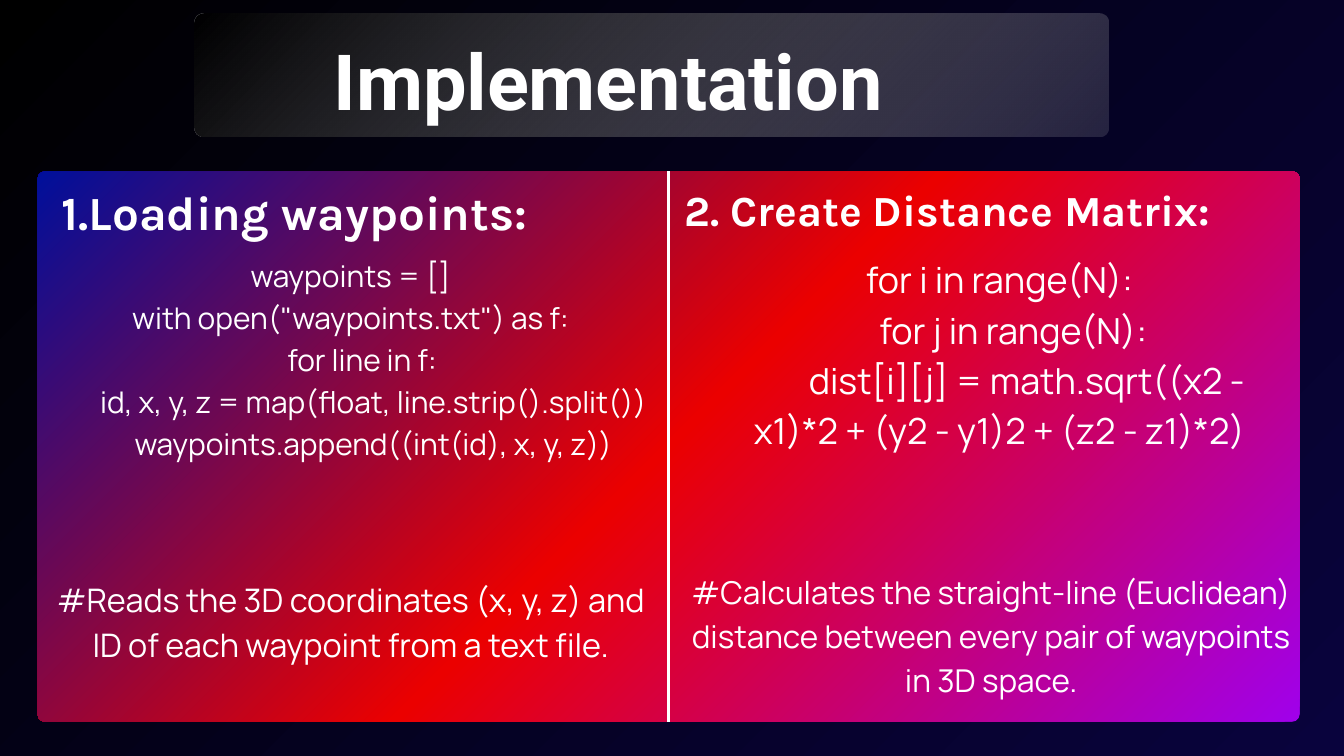
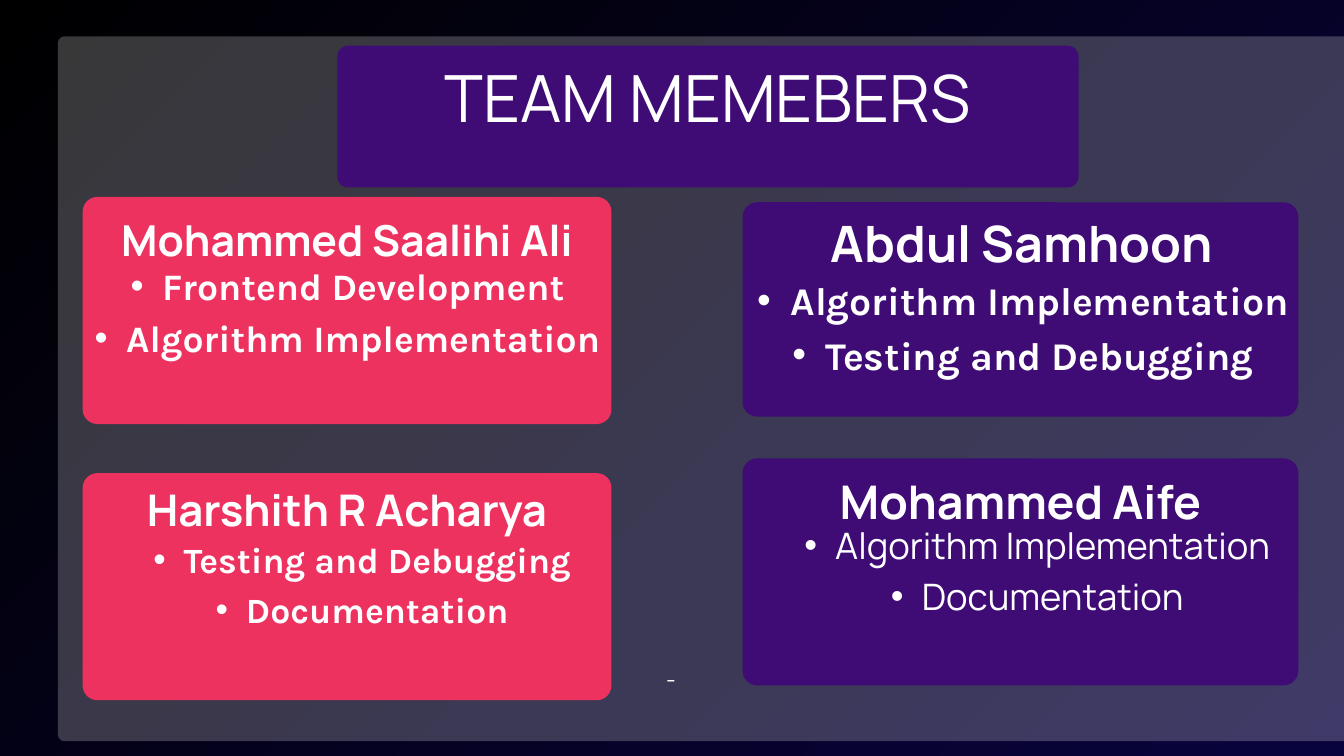
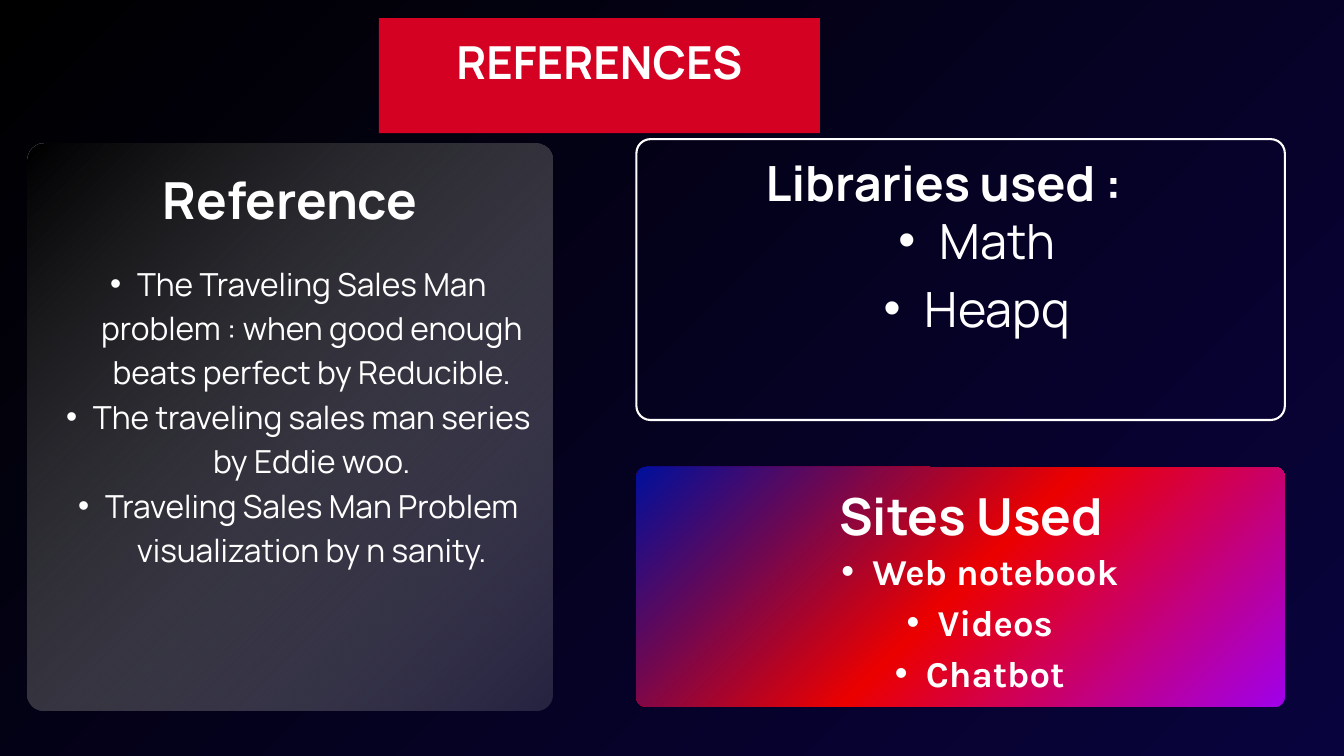
from dataclasses import dataclass

from lxml import etree
from pptx import Presentation
from pptx.dml.color import RGBColor
from pptx.enum.shapes import MSO_CONNECTOR, MSO_SHAPE
from pptx.enum.text import MSO_ANCHOR, MSO_AUTO_SIZE, PP_ALIGN
from pptx.oxml import parse_xml
from pptx.oxml.ns import nsdecls, qn
from pptx.util import Inches, Pt


@dataclass(frozen=True)
class Paint:
    """Stops are (position %, colour, opacity %); one stop is a solid fill."""
    stops: tuple
    angle: int | None = None  # None spreads the gradient from the top left


@dataclass(frozen=True)
class Type:
    font: str
    size: float
    bold: bool = False

    @property
    def leading(self):
        return round(self.size * 1.4, 1)

    @property
    def bullet_indent(self):
        return round(self.size * 0.0236, 2)

    @property
    def code_indent(self):
        return self.size * 0.0106


def solid(colour, opacity=100):
    return Paint(((0, colour, opacity),))


def heading_type(size):
    return Type("Manrope", size, True)


def strong_type(size):
    return Type("Karla", size, True)


def plain_type(size):
    return Type("Manrope", size)


@dataclass(frozen=True)
class Theme:
    # Colours
    white: str = "FFFFFF"
    night: Paint = Paint(((0, "000000", 100), (100, "09033D", 100)))
    smoke: Paint = Paint(((0, "000000", 78), (100, "DDDDDD", 15)), 45)
    vivid: Paint = Paint(((0, "000F9B", 100), (50, "EB0000", 100),
                          (100, "A000EB", 100)))
    glass: Paint = solid("FFFFFF", 22)
    purple: Paint = solid("3F0B75")
    pink: Paint = solid("EE3260")
    red: Paint = solid("D50123")
    # Titles
    implementation_title: Type = Type("Roboto", 83, True)
    team_title: Type = plain_type(69.7)
    references_title: Type = heading_type(48.7)
    # Implementation steps
    loading_heading: Type = strong_type(51)
    loading_code: Type = plain_type(32)
    loading_note: Type = plain_type(34.7)
    matrix_heading: Type = strong_type(46)
    matrix_code: Type = plain_type(38.5)
    matrix_note: Type = plain_type(33.7)
    # Team cards, in reading order
    member_names: tuple = tuple(map(heading_type, (45.7, 53.7, 46.7, 49.7)))
    member_tasks: tuple = (strong_type(40), strong_type(42),
                           strong_type(38), plain_type(39))
    dash: Type = plain_type(24.7)
    # Reference cards
    reference_heading: Type = heading_type(54.7)
    reference_list: Type = plain_type(34)
    library_heading: Type = heading_type(52)
    library_list: Type = plain_type(52)
    site_list: Type = strong_type(39)


THEME = Theme()


@dataclass(frozen=True)
class Box:
    left: float
    top: float
    width: float
    height: float

    def inner(self, left, top, width, height):
        return Box(self.left + left, self.top + top, width, height)

    def lengths(self):
        return [Inches(value) for value in
                (self.left, self.top, self.width, self.height)]


# ---- Fills and shapes ----

def apply_paint(fill, element, paint):
    """Fill with the paint; element is the one that holds the fill."""
    fill.solid()
    colours = [
        f'<a:srgbClr val="{colour}"><a:alpha val="{opacity * 1000}"/></a:srgbClr>'
        for _, colour, opacity in paint.stops]
    if len(colours) == 1:
        xml = f'<a:solidFill {nsdecls("a")}>{colours[0]}</a:solidFill>'
    else:
        stops = "".join(f'<a:gs pos="{stop[0] * 1000}">{colour}</a:gs>'
                        for stop, colour in zip(paint.stops, colours))
        if paint.angle is None:
            direction = ('<a:path path="circle"><a:fillToRect l="0" t="0" '
                         'r="100000" b="100000"/></a:path>')
        else:
            direction = f'<a:lin ang="{paint.angle * 60000}" scaled="0"/>'
        xml = (f'<a:gradFill {nsdecls("a")} rotWithShape="1">'
               f'<a:gsLst>{stops}</a:gsLst>{direction}</a:gradFill>')
    old = next(element.iter(qn("a:solidFill")))
    old.getparent().replace(old, parse_xml(xml))


def add_panel(slide, box, paint=None, radius=0.0, outline=None):
    kind = MSO_SHAPE.ROUNDED_RECTANGLE if radius else MSO_SHAPE.RECTANGLE
    panel = slide.shapes.add_shape(kind, *box.lengths())
    panel.shadow.inherit = False
    if radius:
        panel.adjustments[0] = radius / min(box.width, box.height)
    if paint:
        apply_paint(panel.fill, panel.element, paint)
    else:
        panel.fill.background()
    if outline:
        panel.line.color.rgb = RGBColor.from_string(THEME.white)
        panel.line.width = Pt(outline)
    else:
        panel.line.fill.background()
    return panel


def add_divider(slide, panel):
    divider = slide.shapes.add_connector(MSO_CONNECTOR.STRAIGHT, 0, 0, 0, 0)
    divider.begin_connect(panel, 0)
    divider.end_connect(panel, 2)
    divider.line.color.rgb = RGBColor.from_string(THEME.white)
    divider.line.width = Pt(3)
    etree.SubElement(divider.element.spPr, qn("a:effectLst"))


# ---- Text ----

def set_indent(paragraph, margin=0.0, first=0.0, bullet=None):
    properties = paragraph._p.get_or_add_pPr()
    properties.set("marL", str(Inches(margin)))
    properties.set("indent", str(Inches(first)))
    if bullet:
        etree.SubElement(properties, qn("a:buFont")).set("typeface", "Arial")
        etree.SubElement(properties, qn("a:buChar")).set("char", bullet)
    else:
        etree.SubElement(properties, qn("a:buNone"))


def add_text(slide, holders, box, lines, style, bulleted=False, depths=None,
             anchor=MSO_ANCHOR.TOP, inset=0.0):
    """Write lines in the next free placeholder, or else in a text box."""
    shape = next(holders, None)
    if shape is None:
        shape = slide.shapes.add_textbox(*box.lengths())
    else:
        shape.left, shape.top, shape.width, shape.height = box.lengths()
        shape.element.getparent().append(shape.element)  # bring to front
    frame = shape.text_frame
    frame.text = "\n".join(lines)
    frame.word_wrap = True
    frame.auto_size = MSO_AUTO_SIZE.NONE
    frame.vertical_anchor = anchor
    frame.margin_left = frame.margin_right = Inches(inset)
    frame.margin_top = frame.margin_bottom = Inches(inset)
    for paragraph, depth in zip(frame.paragraphs, depths or [0] * len(lines)):
        paragraph.alignment = PP_ALIGN.CENTER
        paragraph.line_spacing = Pt(style.leading)
        paragraph.space_before = paragraph.space_after = Pt(0)
        if bulleted:
            margin = style.bullet_indent
            set_indent(paragraph, margin, -margin / 2, "•")
        else:
            set_indent(paragraph, first=depth * style.code_indent)
        for run in paragraph.runs:
            run.font.name = style.font
            run.font.size = Pt(style.size)
            run.font.bold = style.bold
            run.font.color.rgb = RGBColor.from_string(THEME.white)


# ---- Regions ----

def start_slide(presentation):
    """Add a slide with a title, two headings and two lists to fill."""
    slide = presentation.slides.add_slide(
        presentation.slide_layouts.get_by_name("Comparison"))
    holders = list(slide.placeholders)
    for holder in holders[5:]:  # date, footer and number
        holder.element.getparent().remove(holder.element)
    return slide, iter(holders[:5])


def add_banner(slide, holders, box, title, style, paint, radius, rise):
    """Title band whose text area starts above the band by the rise."""
    add_panel(slide, box, paint, radius)
    area = box.inner(0, -rise, box.width, box.height + rise)
    add_text(slide, holders, area, [title], style,
             anchor=MSO_ANCHOR.MIDDLE, inset=0.06)


def add_card(slide, holders, box, heading, heading_style, heading_at,
             items, item_style, item_at, item_width):
    """Heading as wide as the card, with a bulleted list under it."""
    add_text(slide, holders, box.inner(*heading_at, box.width, 1),
             [heading], heading_style)
    height = box.height - item_at[1]
    add_text(slide, holders, box.inner(*item_at, item_width, height),
             items, item_style, bulleted=True)


def add_step(slide, holders, box, heading, heading_style, heading_area,
             code, depths, code_style, code_area):
    add_text(slide, holders, box.inner(*heading_area), [heading], heading_style)
    add_text(slide, holders, box.inner(*code_area), code, code_style,
             depths=depths)


# ---- Slides ----

def build_implementation(presentation):
    slide, holders = start_slide(presentation)
    banner = Box(2.89, 0.2, 13.61, 1.83)
    add_panel(slide, banner, THEME.smoke, 0.14)
    add_text(slide, holders, banner.inner(-0.64, 0.06, 13.61, 1.55),
             ["Implementation"], THEME.implementation_title)

    board = Box(0.56, 2.55, 18.78, 8.19)
    add_divider(slide, add_panel(slide, board, THEME.vivid, 0.11))
    half = board.width / 2
    left, right = (board.inner(index * half, 0, half, board.height)
                   for index in range(2))

    add_step(slide, holders, left,
             "1.Loading waypoints:", THEME.loading_heading,
             (0.19, 0.03, 7.26, 0.96),
             ["waypoints = []",
              'with open("waypoints.txt") as f:',
              "for line in f:",
              "id, x, y, z = map(float, line.strip().split())",
              "waypoints.append((int(id), x, y, z))"],
             [0, 0, 1, 2, 2], THEME.loading_code, (0.19, 1.2, 8.94, 3.73))
    add_step(slide, holders, right,
             "2. Create Distance Matrix:", THEME.matrix_heading,
             (0.15, 0.05, 7.99, 0.85),
             ["for i in range(N):",
              "for j in range(N):",
              "dist[i][j] = math.sqrt((x2 - x1)*2 + (y2 - y1)2 + (z2 - z1)*2)"],
             [0, 1, 2], THEME.matrix_code, (0.93, 1.18, 7.99, 3.75))

    # Explanations under the code
    add_text(slide, holders, left.inner(0.19, 5.98, 8.94, 2.01),
             ["#Reads the 3D coordinates (x, y, z) and ID of each waypoint "
              "from a text file."], THEME.loading_note)
    add_text(slide, holders, right.inner(0.26, 5.88, 9.08, 1.96),
             ["#Calculates the straight-line (Euclidean) distance between "
              "every pair of waypoints in 3D space."], THEME.matrix_note)


def build_team(presentation):
    slide, holders = start_slide(presentation)
    add_panel(slide, Box(0.86, 0.54, 19.35, 10.49), THEME.glass, 0.1)
    add_banner(slide, holders, Box(5.02, 0.68, 11.03, 2.11),
               "TEAM MEMEBERS", THEME.team_title, THEME.purple, 0.16, 0.79)

    frontend, algorithm = "Frontend Development", "Algorithm Implementation"
    testing, documentation = "Testing and Debugging", "Documentation"
    # Card, fill, name and its offset, tasks with their place and width
    members = [
        (Box(1.23, 2.93, 7.87, 3.38), THEME.pink, "Mohammed Saalihi Ali",
         (0, 0.12), [frontend, algorithm], (-0.46, 0.87), 8.33),
        (Box(11.05, 3.01, 8.27, 3.19), THEME.purple, "Abdul Samhoon",
         (0.02, 0), [algorithm, testing], (-0.36, 0.98), 8.57),
        (Box(1.23, 7.04, 7.87, 3.38), THEME.pink, "Harshith R Acharya",
         (0, 0.02), [testing, documentation], (0.42, 0.86), 7.03),
        (Box(11.05, 6.82, 8.27, 3.38), THEME.purple, "Mohammed Aife",
         (0, 0.08), [algorithm, documentation], (0.02, 0.85), 8.27),
    ]
    for member, name_style, task_style in zip(
            members, THEME.member_names, THEME.member_tasks):
        box, paint, name, name_at, tasks, tasks_at, tasks_width = member
        add_panel(slide, box, paint, 0.22)
        add_card(slide, holders, box, name, name_style, name_at,
                 tasks, task_style, tasks_at, tasks_width)
    add_text(slide, holders, Box(9.29, 9.84, 1.39, 0.49), ["-"], THEME.dash)


def build_references(presentation):
    slide, holders = start_slide(presentation)
    add_banner(slide, holders, Box(5.64, 0.27, 6.56, 1.71),
               "REFERENCES", THEME.references_title, THEME.red, 0, 0.55)

    reference = Box(0.41, 2.13, 7.81, 8.45)
    add_panel(slide, reference, THEME.smoke, 0.25)
    add_card(slide, holders, reference,
             "Reference", THEME.reference_heading, (0, 0.22),
             ["The Traveling Sales Man problem : when good enough beats "
              "perfect by Reducible.",
              "The traveling sales man series by Eddie woo.",
              "Traveling Sales Man Problem visualization by n sanity."],
             THEME.reference_list, (0, 1.71), 7.66)

    libraries = Box(9.47, 2.07, 9.65, 4.18)
    add_panel(slide, libraries, radius=0.21, outline=2.25)
    add_card(slide, holders, libraries,
             "Libraries used :", THEME.library_heading, (-0.25, 0.06),
             ["Math", "Heapq"], THEME.library_list, (0.97, 0.92), 7.58)

    sites = Box(9.47, 6.95, 9.65, 3.57)
    add_panel(slide, sites, THEME.vivid, 0.15)
    add_card(slide, holders, sites,
             "Sites Used", THEME.reference_heading, (0.16, 0.11),
             ["Web notebook", "Videos", "Chatbot"],
             THEME.site_list, (0.35, 1.11), 9.06)


def main():
    presentation = Presentation()
    presentation.slide_width = Inches(20)
    presentation.slide_height = Inches(11.25)
    master = presentation.slide_master
    apply_paint(master.background.fill, master.element, THEME.night)
    build_implementation(presentation)
    build_team(presentation)
    build_references(presentation)
    presentation.save("out.pptx")


if __name__ == "__main__":
    main()
